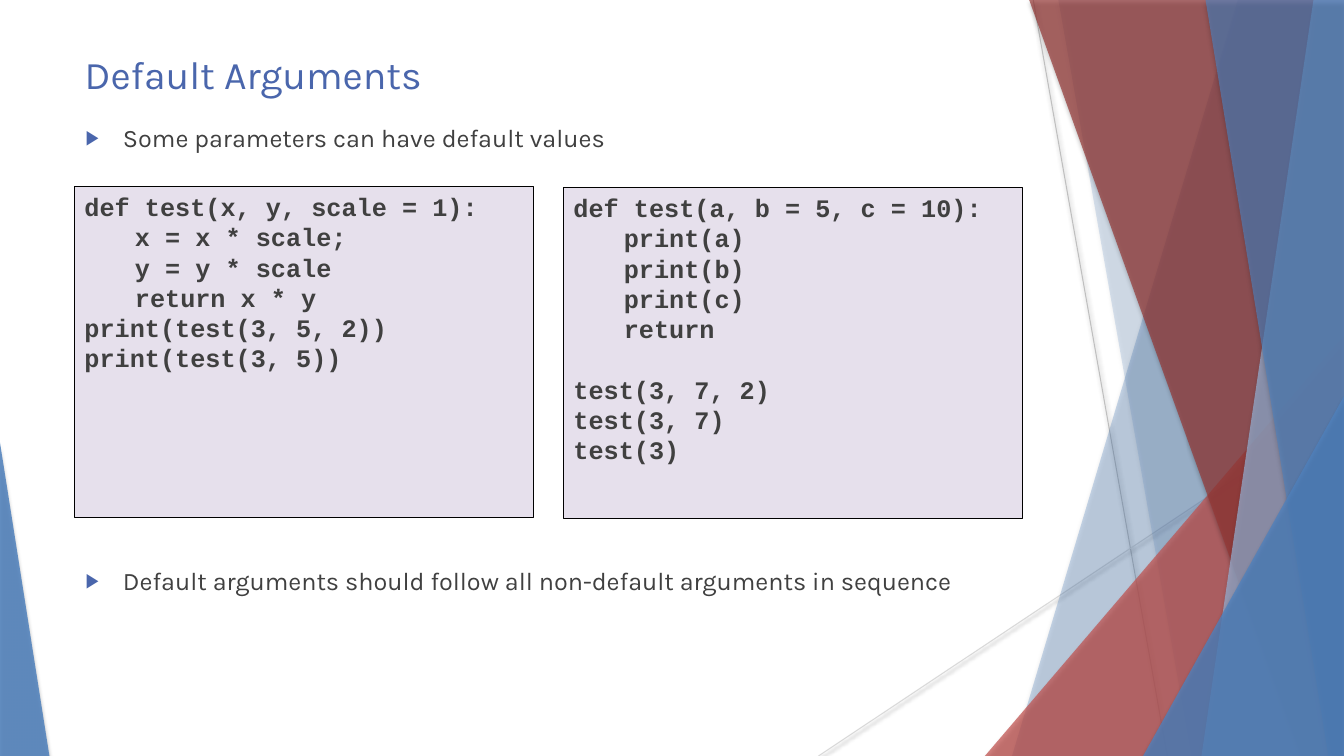
from lxml.etree import SubElement
from pptx import Presentation
from pptx.dml.color import RGBColor
from pptx.enum.shapes import MSO_CONNECTOR, MSO_SHAPE
from pptx.enum.text import MSO_ANCHOR, MSO_AUTO_SIZE, PP_ALIGN
from pptx.oxml.ns import qn
from pptx.util import Emu, Inches, Pt

W, H = Inches(13.333), Inches(7.5)
LEFT, WIDTH = 5.55, 70.5
CODE_W, CODE_H, CODE_GAP = 34.13, 43.73, 2.25

COLORS = {
    "blue": "4F81BD", "pale_blue": "95B3D7", "red": "C0504D", "dark_red": "953735",
    "title": "4A66AC", "text": "404040", "code_fill": "E6E0EC", "black": "000000",
    "gray": "BFBFBF", "light_gray": "D9D9D9",
}
FRAME = {"word_wrap": True, "auto_size": MSO_AUTO_SIZE.NONE,
         "margin_left": Inches(0.1), "margin_right": Inches(0.1),
         "margin_top": Inches(0.05), "margin_bottom": Inches(0.05)}
TITLE_FONT = {"name": "Karla", "size": Pt(28), "bold": False}
BODY_FONT = {"name": "Karla", "size": Pt(18), "bold": False}
CODE_FONT = {"name": "Courier New", "size": Pt(18), "bold": True}
CODE_LINE = Pt(21.6)
FACET_SHADOW = (35, 3, 2)
LINE_SHADOW = (38, 3.1, 1.6)

# Code boxes: top, then blocks of lines set one line apart
CODE = [
    (24.67, [["def test(x, y, scale = 1):", "\tx = x * scale;", "\ty = y * scale",
              "\treturn x * y", "print(test(3, 5, 2))", "print(test(3, 5))"]]),
    (24.8, [["def test(a, b = 5, c = 10):", "\tprint(a)", "\tprint(b)",
             "\tprint(c)", "\treturn"],
            ["test(3, 7, 2)", "test(3, 7)", "test(3)"]]),
]


def x(share):
    """Percent of the slide width."""
    return Emu(round(W * share / 100))


def y(share):
    """Percent of the slide height."""
    return Emu(round(H * share / 100))


def rgb(name):
    return RGBColor.from_string(COLORS[name])


def apply(obj, fmt):
    for key, value in fmt.items():
        setattr(obj, key, value)


def place(sp, left, top, width, height):
    apply(sp, {"left": x(left), "top": y(top), "width": x(width), "height": y(height)})


def add_text(p, text, font, color):
    r = p.add_run()
    r.text = text
    apply(r.font, font)
    r.font.color.rgb = rgb(color)


def add_shadow(sp, alpha, blur, dist):
    spPr = sp._element.spPr
    effects = SubElement(spPr, qn("a:effectLst"))
    shadow = SubElement(effects, qn("a:outerShdw"), blurRad=str(Pt(blur)),
                        dist=str(Pt(dist)), dir="5400000", algn="t", rotWithShape="0")
    color = SubElement(shadow, qn("a:srgbClr"), val=COLORS["black"])
    SubElement(color, qn("a:alpha"), val=str(alpha * 1000))


def paint_facet(sp, color, alpha):
    sp.fill.solid()
    sp.fill.fore_color.rgb = rgb(color)
    srgb = sp._element.spPr.find(qn("a:solidFill"))[0]
    SubElement(srgb, qn("a:alpha"), val=str(alpha * 1000))
    sp.line.fill.background()
    add_shadow(sp, *FACET_SHADOW)


def add_band(shapes, top_x, bottom_x, color, alpha):
    """Full-height facet from a slanted left edge to the slide's right edge."""
    builder = shapes.build_freeform(x(top_x), 0, scale=1.0)
    builder.add_line_segments([(W, 0), (W, H), (x(bottom_x), H)], close=True)
    paint_facet(builder.convert_to_shape(), color, alpha)


def add_corner(shapes, left, top, width, apex, color, alpha):
    """Right triangle standing on the bottom edge; apex 0 is left, 1 is right."""
    sp = shapes.add_shape(MSO_SHAPE.ISOSCELES_TRIANGLE, x(left), y(top),
                          x(width), y(100 - top))
    sp.adjustments[0] = apex
    paint_facet(sp, color, alpha)


def add_line(shapes, start, end, color):
    line = shapes.add_connector(MSO_CONNECTOR.STRAIGHT, x(start[0]), y(start[1]),
                                x(end[0]), y(end[1]))
    line.line.color.rgb = rgb(color)
    line.line.width = Pt(0.75)
    add_shadow(line, *LINE_SHADOW)


def add_facets(shapes):
    add_line(shapes, (76.88, 0), (86.85, 100), "gray")
    add_line(shapes, (100, 53.73), (60.9, 100), "light_gray")
    add_band(shapes, 92.1, 75.3, "blue", 30)
    add_band(shapes, 78.75, 88.65, "blue", 20)
    add_corner(shapes, 73.28, 44.4, 26.72, 1, "red", 72)
    add_band(shapes, 76.58, 96.83, "dark_red", 70)
    add_band(shapes, 97.73, 89.4, "pale_blue", 70)
    add_band(shapes, 89.7, 98.85, "blue", 65)
    add_corner(shapes, 85.05, 52.4, 14.95, 1, "blue", 80)
    add_corner(shapes, 0, 58.53, 3.68, 0, "blue", 85)


def fill_title(sp, text):
    place(sp, LEFT, 5.47, WIDTH, 8.53)
    tf = sp.text_frame
    apply(tf, {**FRAME, "vertical_anchor": MSO_ANCHOR.MIDDLE})
    p = tf.paragraphs[0]
    p.alignment = PP_ALIGN.LEFT
    add_text(p, text, TITLE_FONT, "title")


def fill_bullet(sp, top, text):
    place(sp, LEFT, top, WIDTH, 7.87)
    tf = sp.text_frame
    apply(tf, {**FRAME, "vertical_anchor": MSO_ANCHOR.TOP})
    p = tf.paragraphs[0]
    p.space_before = Pt(0)
    add_text(p, text, BODY_FONT, "text")
    pPr = p._p.get_or_add_pPr()
    pPr.set("marL", str(Inches(0.38)))
    pPr.set("indent", str(Inches(-0.37)))
    SubElement(SubElement(pPr, qn("a:buClr")), qn("a:srgbClr"), val=COLORS["title"])
    SubElement(pPr, qn("a:buSzPct"), val="80000")
    SubElement(pPr, qn("a:buChar"), char="▶")


def add_code(shapes, left, top, blocks):
    sp = shapes.add_shape(MSO_SHAPE.RECTANGLE, x(left), y(top), x(CODE_W), y(CODE_H))
    sp.shadow.inherit = False
    sp.fill.solid()
    sp.fill.fore_color.rgb = rgb("code_fill")
    sp.line.color.rgb = rgb("black")
    sp.line.width = Pt(0.75)
    tf = sp.text_frame
    apply(tf, {**FRAME, "vertical_anchor": MSO_ANCHOR.TOP})
    lines = [(text, b > 0 and i == 0)
             for b, block in enumerate(blocks) for i, text in enumerate(block)]
    for n, (text, opens_block) in enumerate(lines):
        p = tf.add_paragraph() if n else tf.paragraphs[0]
        apply(p, {"alignment": PP_ALIGN.LEFT, "line_spacing": CODE_LINE,
                  "space_before": CODE_LINE if opens_block else Pt(0)})
        add_text(p, text, CODE_FONT, "text")


def main():
    prs = Presentation()
    prs.slide_width, prs.slide_height = W, H
    s = prs.slides.add_slide(prs.slide_layouts.get_by_name("Two Content"))
    title, first, second = list(s.placeholders)[:3]

    add_facets(s.shapes)
    fill_title(title, "Default Arguments")
    fill_bullet(first, 15.47, "Some parameters can have default values")
    for col, (top, blocks) in enumerate(CODE):
        add_code(s.shapes, LEFT + col * (CODE_W + CODE_GAP), top, blocks)
    fill_bullet(second, 74.13,
                "Default arguments should follow all non-default arguments in sequence")
    prs.save("out.pptx")


if __name__ == "__main__":
    main()
